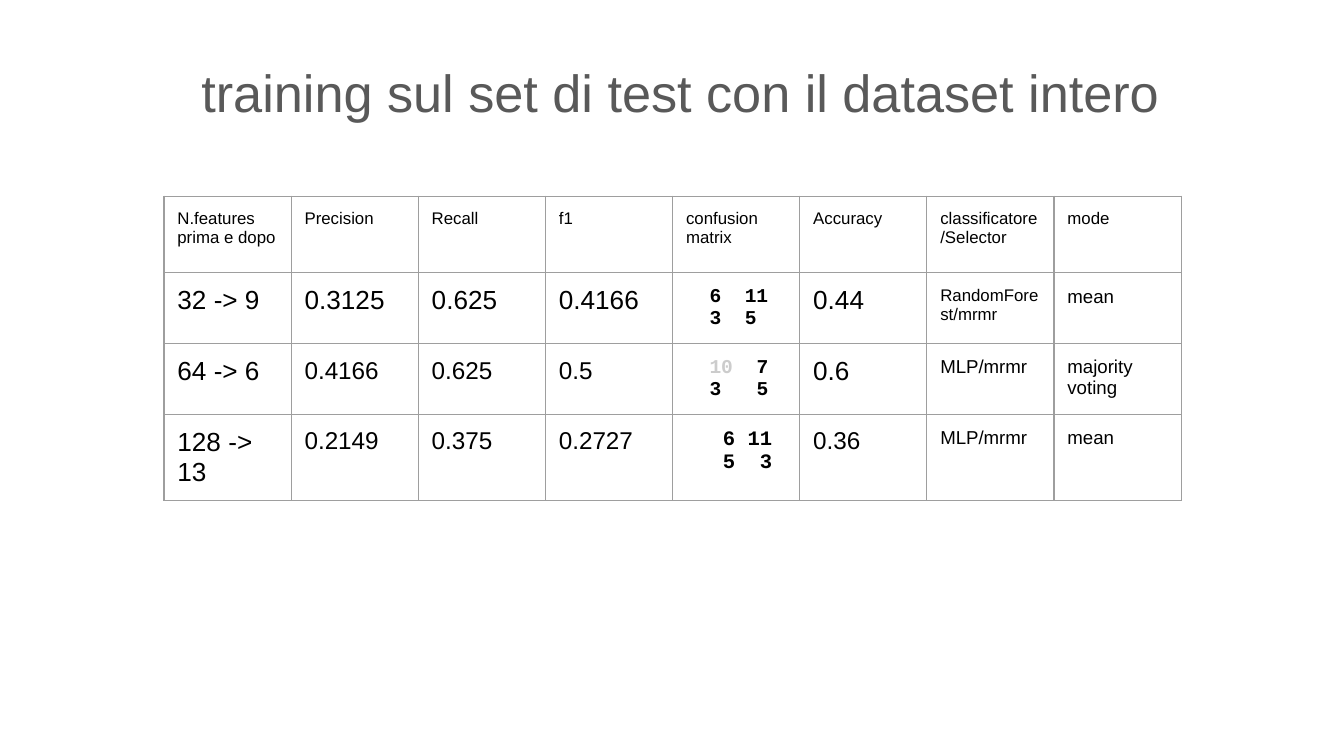
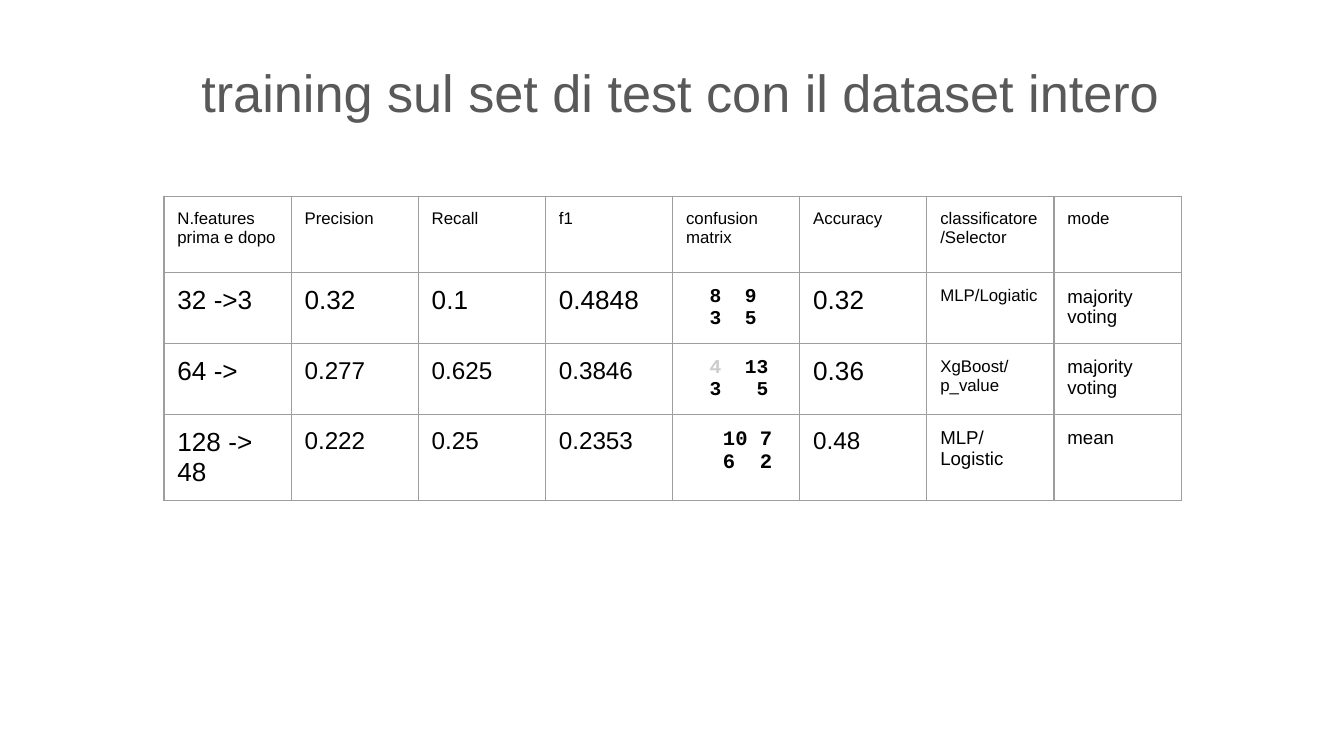
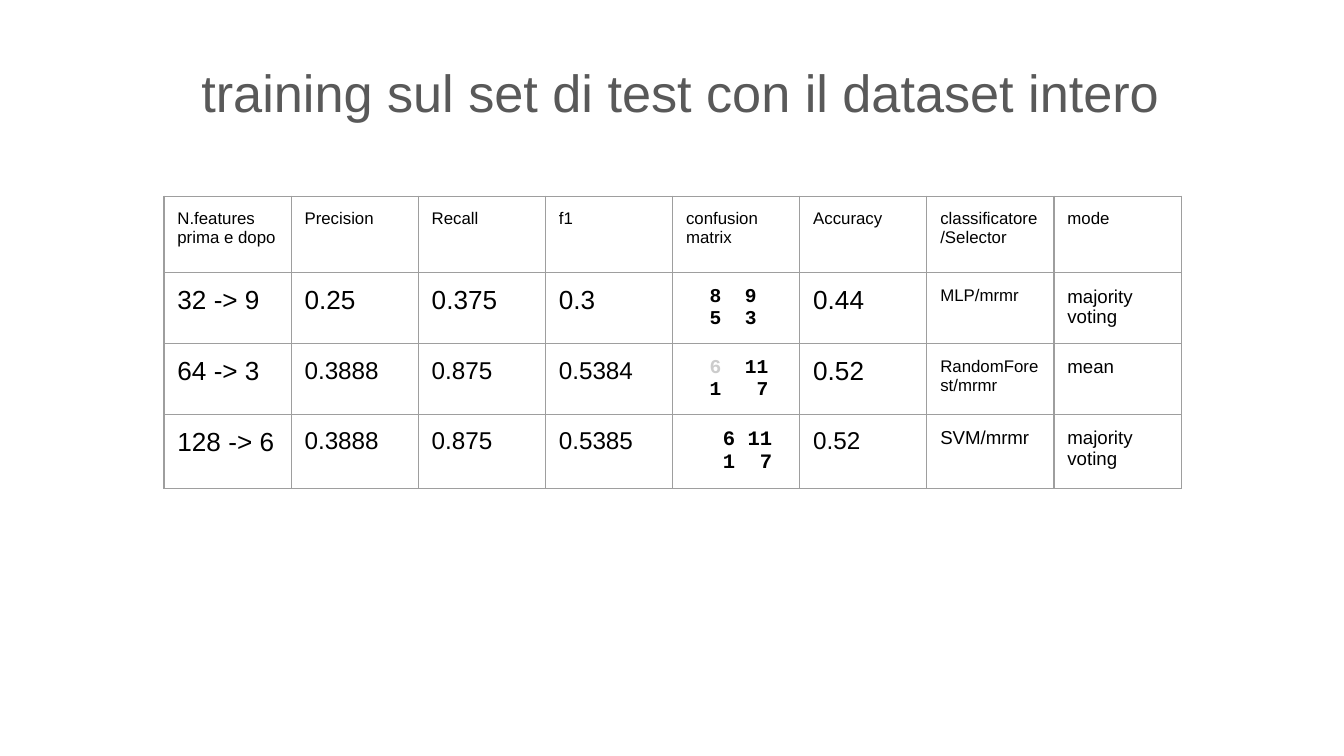
from dataclasses import dataclass

from lxml import etree
from pptx import Presentation
from pptx.dml.color import RGBColor
from pptx.enum.text import MSO_ANCHOR, MSO_AUTO_SIZE, PP_ALIGN
from pptx.oxml.ns import qn
from pptx.util import Inches, Pt

TOP = MSO_ANCHOR.TOP
NO_FIT = MSO_AUTO_SIZE.NONE
CENTER = PP_ALIGN.CENTER
TITLE_ONLY = 5


@dataclass(frozen=True)
class Theme:
    sans: str = "Arial"
    mono: str = "Courier New"
    title_color: str = "595959"
    text_color: str = "000000"
    muted: str = "CCCCCC"
    border: str = "9E9E9E"
    border_width: float = 0.75
    title_size: float = 28
    header_size: float = 9
    note_size: float = 10
    small_note_size: float = 9
    inset: float = 0.1


@dataclass(frozen=True)
class RowStyle:
    """Type sizes of one result row and the layout of its confusion matrix."""
    metric: float
    accuracy: float
    selector: float
    matrix: float
    indent_chars: int
    tab_chars: int
    tab_align: str = "r"
    first_color: str = Theme.text_color
    features: float = 14


THEME = Theme()
ROW_STYLES = [
    RowStyle(14, 14, 9, 10.5, indent_chars=2, tab_chars=3, tab_align="l"),
    RowStyle(13, 14, 10, 10.5, indent_chars=2, tab_chars=5, first_color=THEME.muted),
    RowStyle(13, 13, 10, 11, indent_chars=3, tab_chars=4),
]

TITLE = "training sul set di test con il dataset intero"
TITLE_BOX = (0.4, 0.35, 9.32, 0.87)
TABLE_BOX = (1.22, 1.46, 7.57, 1.74)
HEADER_HEIGHT = 0.57
LONG_NAME = 12
MONO_ADVANCE = 0.6  # character width as a share of the type size
HEADERS = ["N.features prima e dopo", "Precision", "Recall", "f1", "confusion matrix",
           "Accuracy", "classificatore/Selector", "mode"]
MATRIX_COL = HEADERS.index("confusion matrix")
SELECTOR_COL = HEADERS.index("classificatore/Selector")
RESULTS = [
    [
        ["32 -> 9", "0.3125", "0.625", "0.4166", ((6, 11), (3, 5)), "0.44",
         "RandomForest/mrmr", "mean"],
        ["64 -> 6", "0.4166", "0.625", "0.5", ((10, 7), (3, 5)), "0.6",
         "MLP/mrmr", "majority voting"],
        ["128 -> 13", "0.2149", "0.375", "0.2727", ((6, 11), (5, 3)), "0.36",
         "MLP/mrmr", "mean"],
    ],
    [
        ["32 ->3", "0.32", "0.1", "0.4848", ((8, 9), (3, 5)), "0.32",
         "MLP/Logiatic", "majority voting"],
        ["64 ->", "0.277", "0.625", "0.3846", ((4, 13), (3, 5)), "0.36",
         "XgBoost/p_value", "majority voting"],
        ["128 -> 48", "0.222", "0.25", "0.2353", ((10, 7), (6, 2)), "0.48",
         "MLP/Logistic", "mean"],
    ],
    [
        ["32 -> 9", "0.25", "0.375", "0.3", ((8, 9), (5, 3)), "0.44",
         "MLP/mrmr", "majority voting"],
        ["64 -> 3", "0.3888", "0.875", "0.5384", ((6, 11), (1, 7)), "0.52",
         "RandomForest/mrmr", "mean"],
        ["128 -> 6", "0.3888", "0.875", "0.5385", ((6, 11), (1, 7)), "0.52",
         "SVM/mrmr", "majority voting"],
    ],
]


def style_run(r, size, color=THEME.text_color, name=THEME.sans, bold=False):
    r.font.size = Pt(size)
    r.font.name = name
    r.font.bold = bold
    r.font.color.rgb = RGBColor.from_string(color)


def set_insets(target):
    """Give a text frame or a table cell the same inset on all sides."""
    inset = Inches(THEME.inset)
    target.margin_left = target.margin_right = inset
    target.margin_top = target.margin_bottom = inset
    target.vertical_anchor = TOP


def add_title(s, box):
    sp = s.shapes.title
    sp.left, sp.top, sp.width, sp.height = map(Inches, box)
    tf = sp.text_frame
    tf.text = TITLE
    tf.word_wrap = True
    tf.auto_size = NO_FIT
    set_insets(tf)
    p = tf.paragraphs[0]
    p.alignment = CENTER
    style_run(p.runs[0], THEME.title_size, THEME.title_color)


def format_cell(cell):
    """Give the cell equal insets, a thin border and no fill."""
    set_insets(cell)
    tc_pr = cell._tc.get_or_add_tcPr()
    for side in ("lnL", "lnR", "lnT", "lnB"):
        ln = etree.SubElement(tc_pr, qn(f"a:{side}"), w=str(Pt(THEME.border_width)))
        fill = etree.SubElement(ln, qn("a:solidFill"))
        etree.SubElement(fill, qn("a:srgbClr"), val=THEME.border)
    cell.fill.background()


def fill_text(cell, text, size):
    cell.text_frame.text = text
    style_run(cell.text_frame.paragraphs[0].runs[0], size)


def fill_matrix(cell, matrix, style):
    """Set the numbers in two columns, the second one on a tab stop."""
    advance = Pt(style.matrix * MONO_ADVANCE)
    cell.margin_left = Inches(THEME.inset) + style.indent_chars * advance
    tf = cell.text_frame
    for i, (first, second) in enumerate(matrix):
        p = tf.paragraphs[0] if i == 0 else tf.add_paragraph()
        tabs = etree.SubElement(p._p.get_or_add_pPr(), qn("a:tabLst"))
        etree.SubElement(tabs, qn("a:tab"), pos=str(style.tab_chars * advance),
                         algn=style.tab_align)
        first_color = style.first_color if i == 0 else THEME.text_color
        for text, color in ((str(first), first_color), (f"\t{second}", THEME.text_color)):
            r = p.add_run()
            r.text = text
            style_run(r, style.matrix, color, THEME.mono, bold=True)


def row_sizes(style, selector):
    """Type size for each column of a result row."""
    selector_size = THEME.small_note_size if len(selector) > LONG_NAME else style.selector
    return [style.features, *[style.metric] * 3, style.matrix, style.accuracy,
            selector_size, THEME.note_size]


def add_results_table(s, box, results):
    left, top, width, height = map(Inches, box)
    table = s.shapes.add_table(len(results) + 1, len(HEADERS),
                               left, top, width, height).table
    table.first_row = table.horz_banding = False
    for col in table.columns:
        col.width = width // len(HEADERS)
    header_height = Inches(HEADER_HEIGHT)
    for i, row in enumerate(table.rows):
        row.height = (height - header_height) // len(results) if i else header_height
        for cell in row.cells:
            format_cell(cell)

    for c, text in enumerate(HEADERS):
        fill_text(table.cell(0, c), text, THEME.header_size)
    for i, (values, style) in enumerate(zip(results, ROW_STYLES), start=1):
        sizes = row_sizes(style, values[SELECTOR_COL])
        for c, (value, size) in enumerate(zip(values, sizes)):
            if c == MATRIX_COL:
                fill_matrix(table.cell(i, c), value, style)
            else:
                fill_text(table.cell(i, c), value, size)


def add_results_slide(prs, results):
    s = prs.slides.add_slide(prs.slide_layouts[TITLE_ONLY])
    add_title(s, TITLE_BOX)
    add_results_table(s, TABLE_BOX, results)


def main():
    prs = Presentation()
    prs.slide_width = Inches(10)
    prs.slide_height = prs.slide_width * 9 // 16
    for results in RESULTS:
        add_results_slide(prs, results)
    prs.save("out.pptx")


if __name__ == "__main__":
    main()
